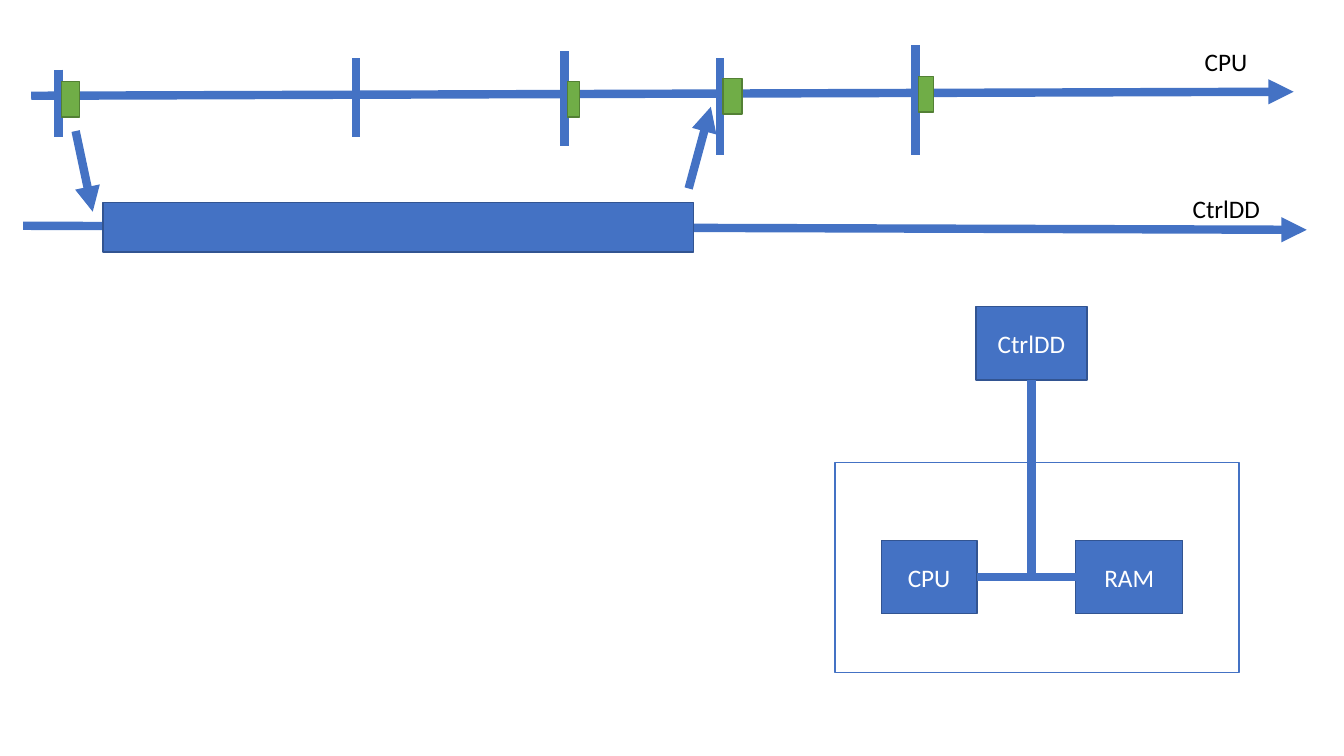
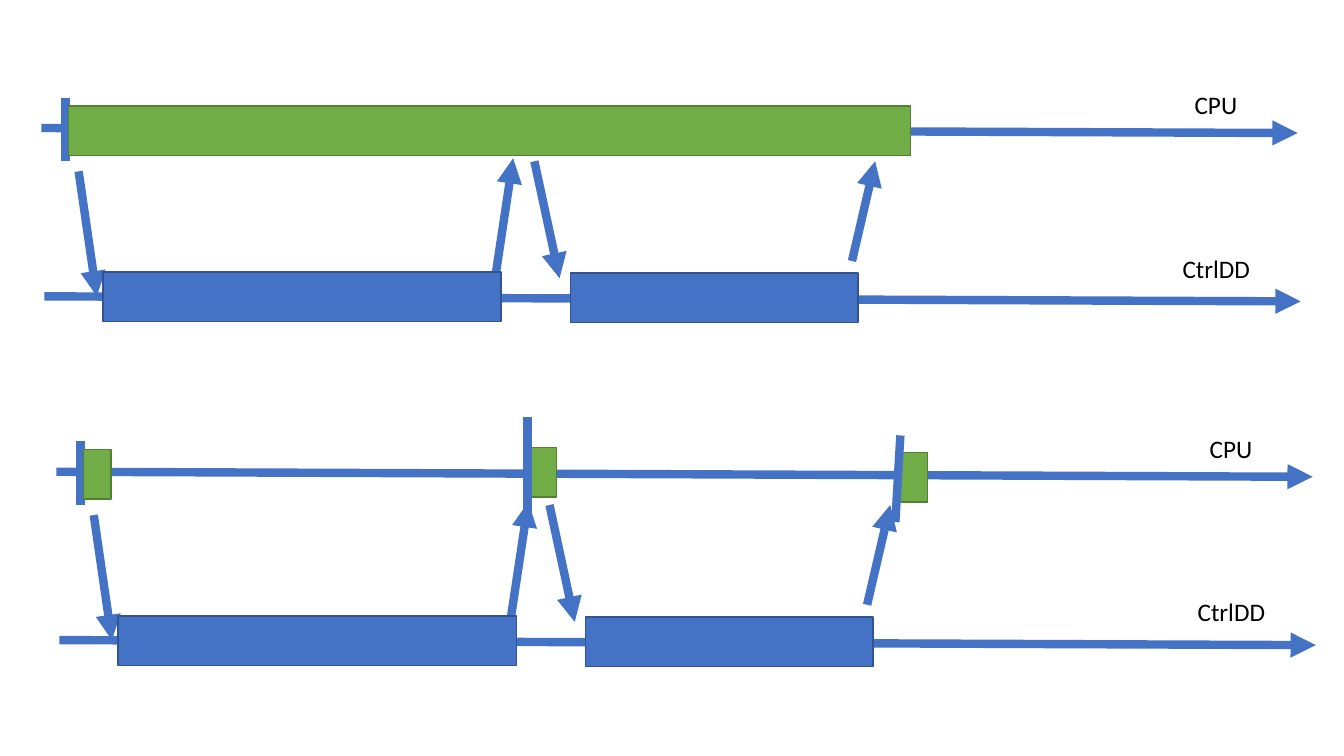
from lxml import etree
from pptx import Presentation
from pptx.dml.color import RGBColor
from pptx.enum.shapes import MSO_CONNECTOR, MSO_SHAPE
from pptx.enum.text import MSO_ANCHOR, PP_ALIGN
from pptx.oxml.ns import qn
from pptx.util import Inches, Pt

COLORS = {
    "blue": "4472C4",
    "blue_edge": "325491",
    "green": "70AD47",
    "green_edge": "538035",
    "white": "FFFFFF",
    "black": "000000",
}
FONT = {"name": "Calibri", "size": Pt(18)}
LABEL_WIDTHS = {"CPU": 0.63, "CtrlDD": 0.88}

SINGLE_TRANSFER = {
    "axes": [(0.11, 0.55, 12.63, 0.51), (0.03, 1.84, 12.76, 1.88)],
    "labels": [("CPU", 11.65, 0.01), ("CtrlDD", 11.53, 1.47)],
    "ticks": [
        (0.38, 0.29, 0.38, 0.96),
        (3.33, 0.18, 3.33, 0.96),
        (5.4, 0.11, 5.4, 1.05),
        (6.94, 0.18, 6.94, 1.14),
        (8.88, 0.05, 8.88, 1.14),
    ],
    "cpu_bars": [
        (0.41, 0.41, 0.18, 0.35),
        (5.43, 0.41, 0.12, 0.35),
        (6.97, 0.38, 0.19, 0.35),
        (8.91, 0.36, 0.15, 0.35),
    ],
    "arrows": [(0.55, 0.9, 0.72, 1.7), (6.63, 1.47, 6.85, 0.66)],
    "controller_bars": [(0.82, 1.61, 5.86, 0.49)],
    "front_ticks": [],
}
TWO_TRANSFERS = {
    "axes": [(0.01, 0.47, 12.47, 0.52), (0.04, 2.14, 12.5, 2.19)],
    "labels": [("CPU", 11.35, 0.04), ("CtrlDD", 11.23, 1.66)],
    "ticks": [(0.25, 0.17, 0.25, 0.8)],
    "arrows": [
        (0.38, 0.9, 0.56, 2.14),
        (4.52, 1.9, 4.69, 0.77),
        (4.9, 0.8, 5.15, 1.96),
        (8.05, 1.79, 8.28, 0.8),
    ],
    "controller_bars": [(0.62, 1.9, 3.95, 0.49), (5.26, 1.91, 2.85, 0.49)],
}
BUSY_CPU = {
    **TWO_TRANSFERS,
    "cpu_bars": [(0.28, 0.25, 8.35, 0.49)],
    "front_ticks": [],
}
INTERRUPTED_CPU = {
    **TWO_TRANSFERS,
    "cpu_bars": [
        (0.28, 0.25, 0.27, 0.49),
        (4.7, 0.23, 0.27, 0.49),
        (8.38, 0.28, 0.27, 0.49),
    ],
    "front_ticks": [(4.68, -0.07, 4.68, 1.02), (8.38, 0.11, 8.33, 0.97)],
}


def color(name):
    return RGBColor.from_string(COLORS[name])


def write_text(frame, text, text_color):
    span = frame.paragraphs[0].add_run()
    span.text = text
    for key, value in FONT.items():
        setattr(span.font, key, value)
    span.font.color.rgb = color(text_color)


def add_line(page, left, top, points, arrow=False):
    x1, y1, x2, y2 = points
    line = page.shapes.add_connector(
        MSO_CONNECTOR.STRAIGHT,
        Inches(left + x1), Inches(top + y1), Inches(left + x2), Inches(top + y2),
    )
    line.line.color.rgb = color("blue")
    line.line.width = Pt(6)
    if arrow:
        etree.SubElement(line.line._get_or_add_ln(), qn("a:tailEnd"), type="triangle")
    etree.SubElement(line._element.spPr, qn("a:effectLst"))
    return line


def add_box(page, left, top, place, fill="blue", edge="blue_edge", text=None):
    x, y, width, height = place
    box = page.shapes.add_shape(
        MSO_SHAPE.RECTANGLE,
        Inches(left + x), Inches(top + y), Inches(width), Inches(height),
    )
    box.shadow.inherit = False
    box.fill.solid()
    box.fill.fore_color.rgb = color(fill)
    box.line.color.rgb = color(edge)
    box.line.width = Pt(1)
    if text:
        box.text_frame.vertical_anchor = MSO_ANCHOR.MIDDLE
        box.text_frame.paragraphs[0].alignment = PP_ALIGN.CENTER
        write_text(box.text_frame, text, "white")
    return box


def add_label(page, left, top, text):
    label = page.shapes.add_textbox(
        Inches(left), Inches(top), Inches(LABEL_WIDTHS[text]), Inches(0.4)
    )
    label.text_frame.word_wrap = False
    write_text(label.text_frame, text, "black")


def add_timing(page, left, top, timing):
    for points in timing["axes"]:
        add_line(page, left, top, points, arrow=True)
    for text, x, y in timing["labels"]:
        add_label(page, left + x, top + y, text)
    for points in timing["ticks"]:
        add_line(page, left, top, points)
    for place in timing["cpu_bars"]:
        add_box(page, left, top, place, "green", "green_edge")
    for points in timing["arrows"]:
        add_line(page, left, top, points, arrow=True)
    for place in timing["controller_bars"]:
        add_box(page, left, top, place)
    for points in timing["front_ticks"]:
        add_line(page, left, top, points)


def add_architecture(page, left, top):
    add_box(page, left, top, (0, 1.55, 4.01, 2.08), "white", "blue")
    cpu = add_box(page, left, top, (0.46, 2.32, 0.95, 0.73), text="CPU")
    ram = add_box(page, left, top, (2.39, 2.32, 1.06, 0.73), text="RAM")
    controller = add_box(page, left, top, (1.4, 0, 1.1, 0.73), text="CtrlDD")
    bus = add_line(page, left, top, (1.41, 2.68, 2.39, 2.68))
    bus.begin_connect(cpu, 3)
    bus.end_connect(ram, 1)
    branch = add_line(page, left, top, (1.95, 2.68, 1.95, 0.73))
    branch.end_connect(controller, 2)


def main():
    deck = Presentation()
    deck.slide_width = Inches(13.33)
    deck.slide_height = Inches(7.5)
    blank = deck.slide_layouts[6]

    page = deck.slides.add_slide(blank)
    add_timing(page, 0.2, 0.4, SINGLE_TRANSFER)
    add_architecture(page, 8.28, 3.04)

    page = deck.slides.add_slide(blank)
    add_timing(page, 0.4, 0.8, BUSY_CPU)
    add_timing(page, 0.55, 4.21, INTERRUPTED_CPU)

    deck.save("out.pptx")


if __name__ == "__main__":
    main()
